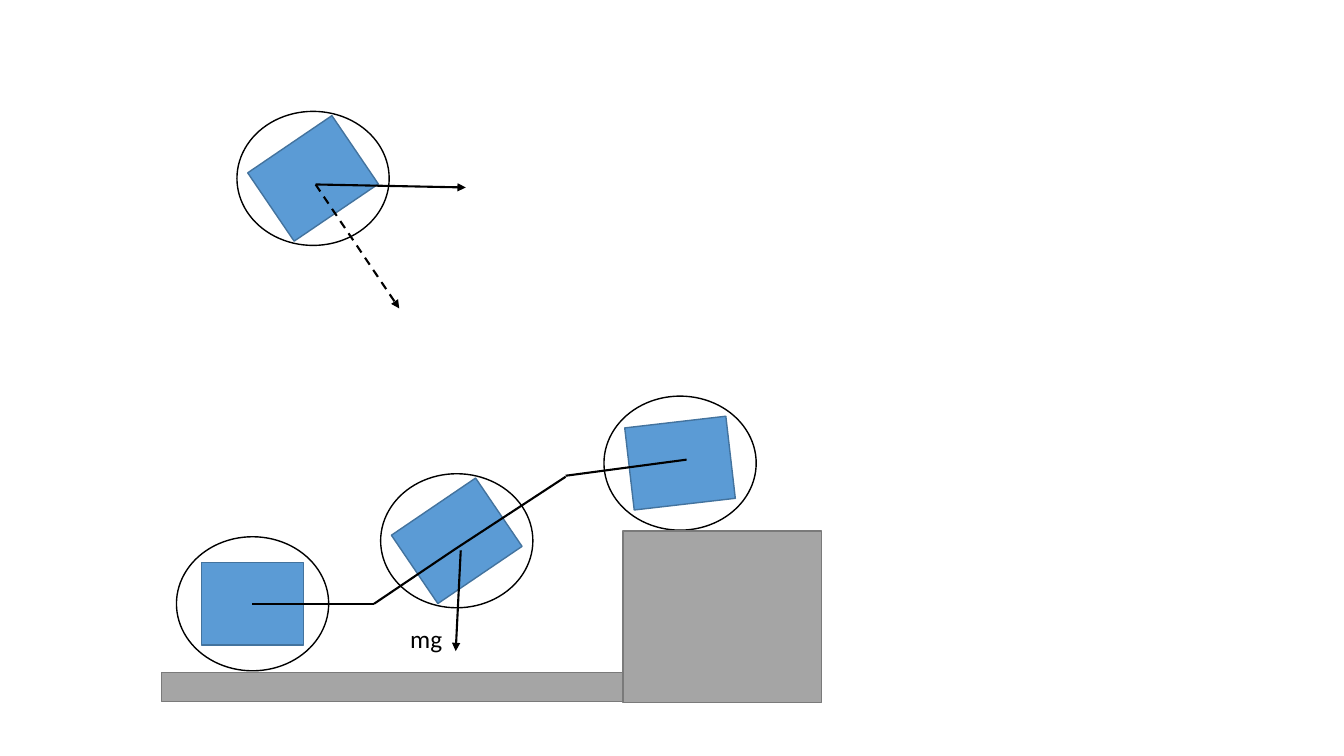
import pptx
import pptx.util
import pptx.dml.color
import pptx.enum.dml
import pptx.enum.shapes
import pptx.enum.text
import pptx.oxml
import pptx.oxml.ns

CELL = 0.5
COLS, ROWS = 26.66, 15
KINDS = pptx.enum.shapes.MSO_SHAPE


def color(code):
    return pptx.dml.color.RGBColor.from_string(code)


def grid(*cells):
    return [pptx.util.Inches(cell * CELL) for cell in cells]


def assign(target, values):
    for name, value in values.items():
        setattr(target, name, value)


class Sketch:
    """Draws styled elements on one slide, measured in half-inch grid cells."""

    ink = "000000"
    blue = ("5B9BD5", "43739E")
    gray = ("A5A5A5", "7A7A7A")
    font = {"name": "Calibri", "size": pptx.util.Pt(18)}

    def __init__(self, slide):
        self.slide = slide

    def shape(self, kind, left, top, width, height, fill, edge, turn=0):
        shape = self.slide.shapes.add_shape(kind, *grid(left, top, width, height))
        shape.shadow.inherit = False
        shape.rotation = turn
        if fill:
            shape.fill.solid()
            shape.fill.fore_color.rgb = color(fill)
        else:
            shape.fill.background()
        shape.line.color.rgb = color(edge)
        shape.line.width = pptx.util.Pt(1)

    def wheel(self, x, y, turn=0):
        parts = (
            (KINDS.RECTANGLE, 2.02, 1.64, *self.blue, turn),
            (KINDS.OVAL, 3.02, 2.66, None, self.ink, 0),
        )
        for kind, width, height, fill, edge, angle in parts:
            self.shape(kind, x - width / 2, y - height / 2, width, height, fill, edge, angle)

    def block(self, left, top, width, height):
        self.shape(KINDS.RECTANGLE, left, top, width, height, *self.gray)

    def line(self, start, end, arrow=False, dash=None):
        straight = pptx.enum.shapes.MSO_CONNECTOR.STRAIGHT
        line = self.slide.shapes.add_connector(straight, *grid(*start, *end))
        line.line.color.rgb = color(self.ink)
        assign(line.line, {"width": pptx.util.Pt(1.5), "dash_style": dash})
        props = line._element.spPr
        if arrow:
            tail = pptx.oxml.parse_xml(
                f'<a:tailEnd {pptx.oxml.ns.nsdecls("a")} type="triangle"/>')
            props.find(pptx.oxml.ns.qn("a:ln")).append(tail)
        props.append(pptx.oxml.parse_xml(f'<a:effectLst {pptx.oxml.ns.nsdecls("a")}/>'))

    def label(self, words, left, top, width, height):
        frame = self.slide.shapes.add_textbox(*grid(left, top, width, height)).text_frame
        assign(frame, {"word_wrap": True,
                       "auto_size": pptx.enum.text.MSO_AUTO_SIZE.SHAPE_TO_FIT_TEXT})
        run = frame.paragraphs[0].add_run()
        run.text = words
        assign(run.font, self.font)
        run.font.color.rgb = color(self.ink)


def main():
    deck = pptx.Presentation()
    width, height = grid(COLS, ROWS)
    assign(deck, {"slide_width": width, "slide_height": height})
    sketch = Sketch(deck.slides.add_slide(deck.slide_layouts[6]))

    wheels = ((6.21, 3.54, 325.8), (5.01, 11.98, 0), (9.06, 10.73, 325.8), (13.49, 9.19, 353.4))
    for wheel in wheels:
        sketch.wheel(*wheel)

    hub = (6.26, 3.66)
    sketch.line(hub, (7.92, 6.12), True, pptx.enum.dml.MSO_LINE.DASH)
    sketch.line(hub, (9.24, 3.72), True)

    sketch.block(3.2, 13.34, 13.1, 0.58)
    sketch.block(12.36, 10.54, 3.94, 3.4)

    trail = ((5, 11.98), (7.42, 11.98), (9.02, 10.9), (11.22, 9.46))
    for start, end in zip(trail, trail[1:]):
        sketch.line(start, end)
    sketch.line((11.22, 9.44), (13.62, 9.12))
    sketch.line((9.14, 10.92), (9.04, 12.92), True)
    sketch.label("mg", 7.94, 12.26, 3.78, 0.8)

    deck.save("out.pptx")


if __name__ == "__main__":
    main()
